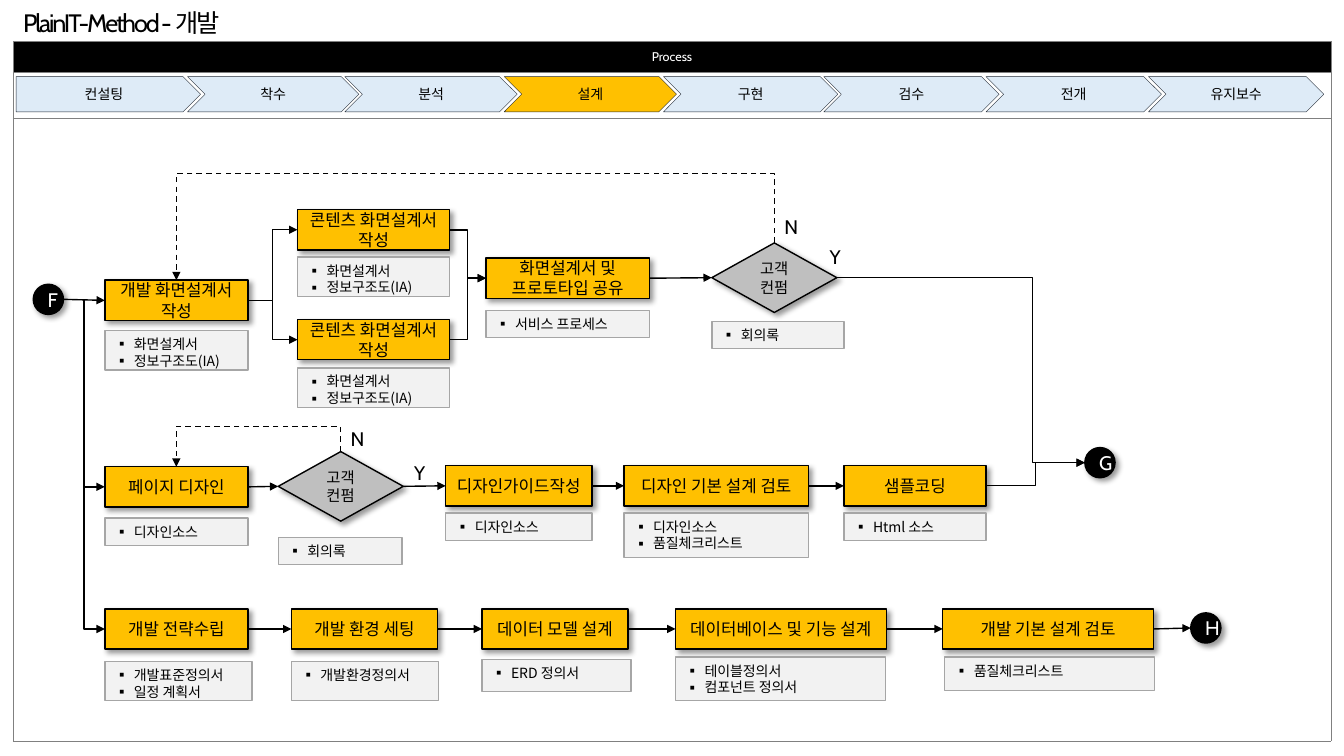
from dataclasses import dataclass

from lxml import etree
from pptx import Presentation
from pptx.dml.color import RGBColor
from pptx.enum.dml import MSO_LINE
from pptx.enum.shapes import MSO_CONNECTOR, MSO_SHAPE
from pptx.enum.text import MSO_ANCHOR, MSO_AUTO_SIZE, PP_ALIGN
from pptx.oxml.ns import qn
from pptx.util import Pt

PX = 9144  # one px is a hundredth of an inch
RECTANGLE, DIAMOND, OVAL = MSO_SHAPE.RECTANGLE, MSO_SHAPE.DIAMOND, MSO_SHAPE.OVAL
CHEVRON, PENTAGON = MSO_SHAPE.CHEVRON, MSO_SHAPE.PENTAGON
STRAIGHT, ELBOW = MSO_CONNECTOR.STRAIGHT, MSO_CONNECTOR.ELBOW
LEFT, CENTER = PP_ALIGN.LEFT, PP_ALIGN.CENTER
TOP, MIDDLE = MSO_ANCHOR.TOP, MSO_ANCHOR.MIDDLE


@dataclass(frozen=True)
class Theme:
    black: str = "000000"
    white: str = "FFFFFF"
    accent: str = "FFC000"
    phase: str = "DEEBF7"
    phase_line: str = "222A35"
    decision: str = "BFBFBF"
    note: str = "F2F2F2"
    note_line: str = "A6A6A6"
    frame: str = "808080"
    font: str = "Cabin"
    note_font: str = "Noto Sans CJK KR"
    title_size: int = 18
    mark_size: int = 14
    step_size: int = 12
    decision_size: int = 11
    small_size: int = 10
    header_size: int = 9


THEME = Theme()

# Phases: left, width, label
PHASES = [
    (16, 183, "컨설팅"), (186, 170, "착수"), (342, 171, "분석"), (500, 171, "설계"),
    (658, 173, "구현"), (817, 174, "검수"), (978, 174, "전개"), (1139, 174, "유지보수"),
]
CURRENT_PHASE = "설계"

# Steps: left, top, width, lines
STEPS = {
    "screen": (104, 278, 142, ["개발 화면설계서", "작성"]),
    "content_a": (295, 208, 151, ["콘텐츠 화면설계서 작성"]),
    "content_b": (295, 317, 151, ["콘텐츠 화면설계서 작성"]),
    "share": (482, 256, 162, ["화면설계서 및", "프로토타입 공유"]),
    "page": (104, 463, 142, ["페이지 디자인"]),
    "guide": (442, 462, 145, ["디자인가이드작성"]),
    "design_review": (619, 462, 183, ["디자인 기본 설계 검토"]),
    "sample": (837, 462, 141, ["샘플코딩"]),
    "strategy": (104, 604, 142, ["개발 전략수립"]),
    "environment": (289, 604, 145, ["개발 환경 세팅"]),
    "data_model": (478, 604, 145, ["데이터 모델 설계"]),
    "database": (670, 604, 209, ["데이터베이스 및 기능 설계"]),
    "dev_review": (935, 604, 209, ["개발 기본 설계 검토"]),
}
DECISIONS = {"confirm_screen": (706, 241), "confirm_page": (276, 448)}
MARKS = {"F": (33, 282), "G": (1076, 444), "H": (1181, 608)}

# Deliverables: left, top, width, height, lines
SCREEN_OUTPUT = ["화면설계서", "정보구조도(IA)"]
NOTES = [
    (104, 328, 142, 39, SCREEN_OUTPUT),
    (295, 255, 151, 39, SCREEN_OUTPUT),
    (295, 365, 151, 39, SCREEN_OUTPUT),
    (482, 308, 162, 27, ["서비스 프로세스"]),
    (706, 319, 131, 27, ["회의록"]),
    (104, 514, 142, 27, ["디자인소스"]),
    (276, 533, 123, 27, ["회의록"]),
    (442, 509, 145, 27, ["디자인소스"]),
    (619, 509, 183, 44, ["디자인소스", "품질체크리스트"]),
    (837, 509, 141, 27, ["Html 소스"]),
    (104, 656, 146, 39, ["개발표준정의서", "일정 계획서"]),
    (289, 656, 146, 39, ["개발환경정의서"]),
    (478, 654, 148, 32, ["ERD 정의서"]),
    (670, 652, 208, 43, ["테이블정의서", "컴포넌트 정의서"]),
    (937, 652, 208, 33, ["품질체크리스트"]),
]
ANSWERS = [(813, 238, 32, "Y"), (768, 208, 35, "N"), (401, 452, 32, "Y"), (338, 419, 35, "N")]

# Flows: chains of nodes joined left to right
FLOWS = [
    ["F", "screen", "content_a", "share", "confirm_screen"],
    ["screen", "content_b", "share"],
    ["F", "page", "confirm_page", "guide", "design_review", "sample", "G"],
    ["F", "strategy", "environment", "data_model", "database", "dev_review", "H"],
]


def rgb(color):
    return RGBColor.from_string(color)


def px(*lengths):
    return [length * PX for length in lengths]


def add_run(paragraph, text, size, color=THEME.black, font=THEME.font):
    run = paragraph.add_run()
    run.text = text
    run.font.size = Pt(size)
    run.font.color.rgb = rgb(color)
    run.font.name = font
    properties = run.font._element
    etree.SubElement(properties, qn("a:ea"), typeface=THEME.font)
    return properties


def add_bullet(paragraph):
    properties = paragraph._p.get_or_add_pPr()
    properties.set("marL", str(19 * PX))
    properties.set("indent", str(-19 * PX))
    etree.SubElement(properties, qn("a:buFont"), typeface=THEME.note_font)
    etree.SubElement(properties, qn("a:buChar"), char="▪")


def add_shadow(shape):
    effects = shape._element.spPr.find(qn("a:effectLst"))
    shadow = etree.SubElement(effects, qn("a:outerShdw"), blurRad=str(Pt(4)), dist=str(Pt(3)),
                              dir="2700000", algn="tl", rotWithShape="0")
    color = etree.SubElement(shadow, qn("a:srgbClr"), val=THEME.black)
    etree.SubElement(color, qn("a:alpha"), val="40000")


def add_box(slide, kind, box, lines, size, fill, line=THEME.black, weight=1,
            color=THEME.black, raised=True):
    shape = slide.shapes.add_shape(kind, *px(*box))
    shape.shadow.inherit = False
    if raised:
        add_shadow(shape)
    shape.fill.solid()
    shape.fill.fore_color.rgb = rgb(fill)
    shape.line.color.rgb = rgb(line)
    shape.line.width = Pt(weight)
    frame = shape.text_frame
    frame.word_wrap = True
    frame.vertical_anchor = MIDDLE
    for index, text in enumerate(lines):
        paragraph = frame.add_paragraph() if index else frame.paragraphs[0]
        paragraph.alignment = CENTER
        add_run(paragraph, text, size, color)
    return shape


def add_note(slide, left, top, width, height, lines):
    shape = add_box(slide, RECTANGLE, (left, top, width, height), [], THEME.small_size,
                    THEME.note, THEME.note_line, raised=False)
    frame = shape.text_frame
    frame.vertical_anchor = TOP
    for index, text in enumerate(lines):
        paragraph = frame.add_paragraph() if index else frame.paragraphs[0]
        paragraph.alignment = LEFT
        add_bullet(paragraph)
        add_run(paragraph, text, THEME.small_size, font=THEME.note_font)


def add_answer(slide, left, top, width, text):
    frame = slide.shapes.add_textbox(*px(left, top, width, 34)).text_frame
    frame.word_wrap = False
    add_run(frame.paragraphs[0], text, THEME.mark_size)


def add_arrow(slide, kind, start, end, bend=0.5, dashed=False):
    connector = slide.shapes.add_connector(kind, *start, *end)
    connector.line.color.rgb = rgb(THEME.black)
    connector.line.width = Pt(1)
    if dashed:
        connector.line.dash_style = MSO_LINE.DASH
    properties = connector._element.spPr
    etree.SubElement(properties.find(qn("a:ln")), qn("a:tailEnd"), type="triangle")
    etree.SubElement(properties, qn("a:effectLst"))
    if kind == ELBOW:
        guides = properties.find(qn("a:prstGeom")).find(qn("a:avLst"))
        etree.SubElement(guides, qn("a:gd"), name="adj1", fmla=f"val {round(bend * 100000)}")
    return connector


def link(slide, source, target, bend=0.5):
    start = (source.left + source.width, source.top + source.height // 2)
    end = (target.left, target.top + target.height // 2)
    kind = STRAIGHT if abs(start[1] - end[1]) <= 2 * PX else ELBOW
    add_arrow(slide, kind, start, end, bend)


def add_return(slide, source, target, rail):
    """Dashed arrow from the top of source, along the rail, down to the top of target."""
    drop = target.top - source.top
    start_x, end_x = (shape.left + shape.width // 2 for shape in (source, target))
    span = start_x - end_x
    left = (start_x + end_x - drop) // 2
    top = (source.top + target.top - span) // 2
    connector = add_arrow(slide, ELBOW, (left, top), (left + drop, top + span),
                          (rail * PX - source.top) / drop, dashed=True)
    transform = connector._element.spPr.find(qn("a:xfrm"))
    for name, value in (("rot", "16200000"), ("flipH", "1"), ("flipV", "1")):
        transform.set(name, value)


def add_title(slide):
    title = slide.shapes.title
    title.left, title.top, title.width, title.height = px(13, 2, 227, 40)
    frame = title.text_frame
    frame.word_wrap = False
    frame.auto_size = MSO_AUTO_SIZE.NONE
    paragraph = frame.paragraphs[0]
    paragraph.alignment = LEFT
    add_run(paragraph, "PlainIT-Method - 개발", THEME.title_size).set("spc", "-150")


def add_frame(slide):
    table = slide.shapes.add_table(3, 1, *px(13, 41, 1307, 694)).table
    table.first_row = table.horz_banding = False
    for row, height in zip(table.rows, (31, 45, 618)):
        row.height = height * PX
        cell = row.cells[0]
        cell.fill.background()
        properties = cell._tc.get_or_add_tcPr()
        for index, side in enumerate(("a:lnL", "a:lnR", "a:lnT", "a:lnB")):
            border = etree.Element(qn(side), w=str(Pt(0.5)))
            fill = etree.SubElement(border, qn("a:solidFill"))
            etree.SubElement(fill, qn("a:srgbClr"), val=THEME.frame)
            properties.insert(index, border)
    header = table.cell(0, 0)
    header.fill.solid()
    header.fill.fore_color.rgb = rgb(THEME.black)
    header.vertical_anchor = MIDDLE
    paragraph = header.text_frame.paragraphs[0]
    paragraph.alignment = CENTER
    add_run(paragraph, "Process", THEME.header_size, THEME.white)


def main():
    presentation = Presentation()
    presentation.slide_width, presentation.slide_height = px(1333, 750)
    slide = presentation.slides.add_slide(presentation.slide_layouts[5])
    add_title(slide)
    add_frame(slide)

    # Phase bar
    for index, (left, width, label) in enumerate(PHASES):
        add_box(slide, CHEVRON if index else PENTAGON, (left, 76, width, 35), [label],
                THEME.small_size, THEME.accent if label == CURRENT_PHASE else THEME.phase,
                THEME.phase_line, 0.25, raised=False)

    # Flow nodes
    nodes = {}
    for name, (left, top, width, lines) in STEPS.items():
        nodes[name] = add_box(slide, RECTANGLE, (left, top, width, 40), lines,
                              THEME.step_size, THEME.accent)
    for name, (left, top) in DECISIONS.items():
        nodes[name] = add_box(slide, DIAMOND, (left, top, 124, 69), ["고객컨펌"],
                              THEME.decision_size, THEME.decision)
    for name, (left, top) in MARKS.items():
        nodes[name] = add_box(slide, OVAL, (left, top, 30, 30), [name],
                              THEME.mark_size, THEME.black, color=THEME.white)

    # Deliverables and answers
    for note in NOTES:
        add_note(slide, *note)
    for answer in ANSWERS:
        add_answer(slide, *answer)

    # Arrows
    for flow in FLOWS:
        for source, target in zip(flow, flow[1:]):
            link(slide, nodes[source], nodes[target])
    link(slide, nodes["confirm_screen"], nodes["G"], 0.79)
    add_return(slide, nodes["confirm_screen"], nodes["screen"], 172)
    add_return(slide, nodes["confirm_page"], nodes["page"], 423)

    presentation.save("out.pptx")


if __name__ == "__main__":
    main()
